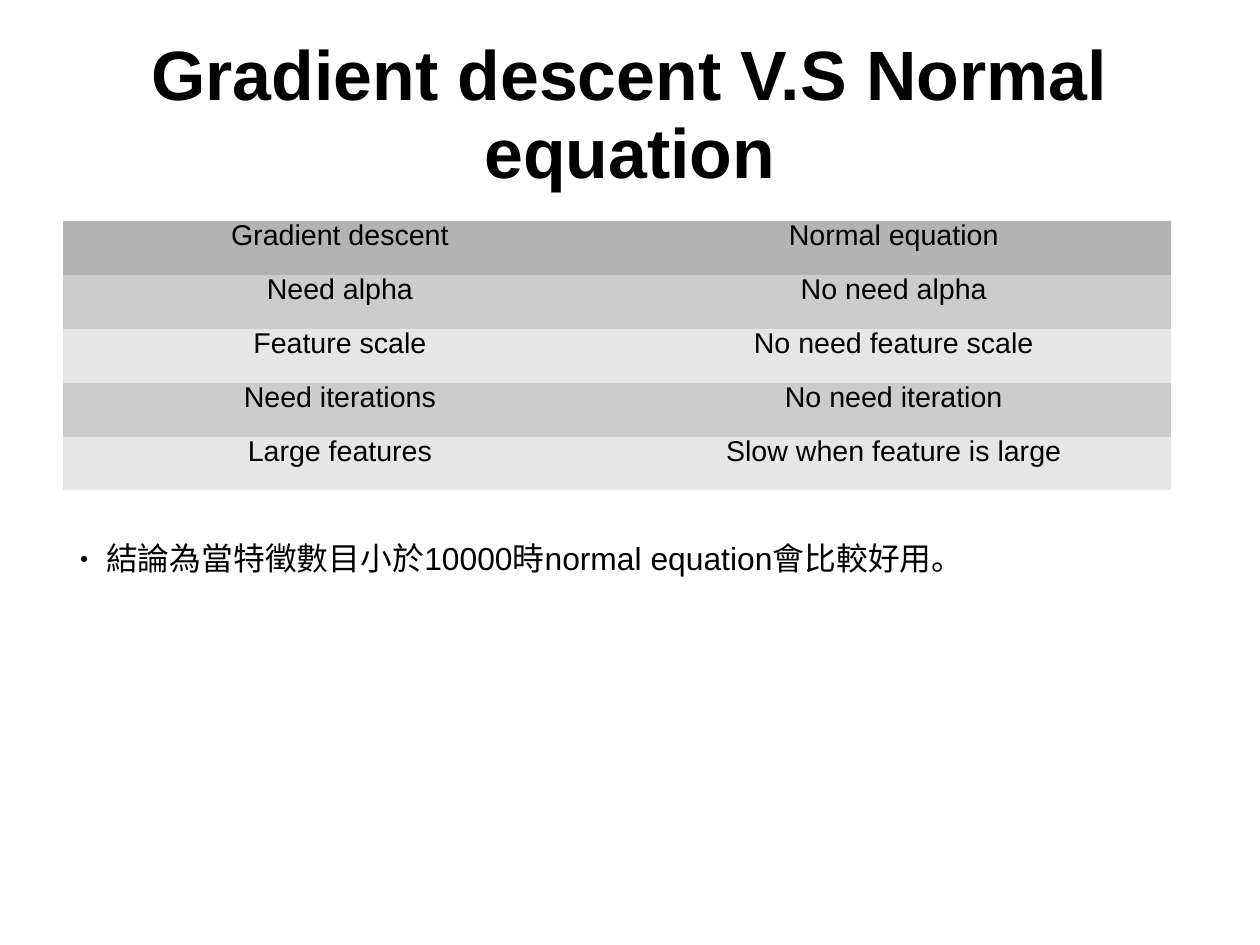
from dataclasses import dataclass
from lxml.etree import SubElement as Sub
from pptx import Presentation
from pptx.dml.color import RGBColor as Rgb
from pptx.enum.text import MSO_ANCHOR as Anchor, PP_ALIGN as Align
from pptx.oxml.ns import qn
from pptx.util import Cm, Inches, Pt


@dataclass(frozen=True)
class Theme:
    face: str = "Arial"
    ink: str = "000000"
    head: str = "B3B3B3"
    bands: tuple = ("CCCCCC", "E6E6E6")
    title: int = 44
    cell: int = 18
    note: int = 20


THEME = Theme()
WIDE, HIGH = Cm(28), Cm(21)
LEFT = 5
PLAIN = "{2D5ABB26-0587-4C30-8999-92F81FD0307C}"
ROWS = (
    ("Gradient descent", "Normal equation"),
    ("Need alpha", "No need alpha"),
    ("Feature scale", "No need feature scale"),
    ("Need iterations", "No need iteration"),
    ("Large features", "Slow when feature is large"),
)


def area(left, top, width, height):
    return [round(share * side / 100) for share, side in
            zip((left, top, width, height), (WIDE, HIGH, WIDE, HIGH))]


def style(para, size, lead, bold=False, align=Align.CENTER):
    para.alignment = align
    para.line_spacing = lead
    font = para.font
    font.name, font.size, font.bold = THEME.face, Pt(size), bold
    font.color.rgb = Rgb.from_string(THEME.ink)


def bullet(para, indent):
    props = para._p.get_or_add_pPr()
    props.set("marL", str(Inches(indent)))
    props.set("indent", str(-Inches(indent)))
    color = Sub(props, qn("a:buClr"))
    Sub(color, qn("a:srgbClr"), val=THEME.ink)
    Sub(props, qn("a:buSzPct"), val="45000")
    Sub(props, qn("a:buFont"), typeface=THEME.face)
    Sub(props, qn("a:buChar"), char="●")


def title(slide, text):
    frame = slide.shapes.add_textbox(*area(LEFT, 3.95, 90, 16.7)).text_frame
    frame.word_wrap = True
    frame.vertical_anchor = Anchor.MIDDLE
    frame.margin_left = frame.margin_right = 0
    frame.margin_top = frame.margin_bottom = 0
    frame.text = text
    style(frame.paragraphs[0], THEME.title, 0.93, True)


def table(slide, rows):
    box = area(LEFT, 23.35, 87.9, 5.71 * len(rows))
    grid = slide.shapes.add_table(len(rows), len(rows[0]), *box).table
    grid._tbl.tblPr.find(qn("a:tableStyleId")).text = PLAIN
    for r, row in enumerate(rows):
        shade = THEME.bands[(r - 1) % 2] if r else THEME.head
        for c, text in enumerate(row):
            cell = grid.cell(r, c)
            cell.text = text
            cell.fill.solid()
            cell.fill.fore_color.rgb = Rgb.from_string(shade)
            style(cell.text_frame.paragraphs[0], THEME.cell, 0.76)


def note(slide, text):
    box = area(5.45, 56.8, 73.2, 5)
    frame = slide.shapes.add_textbox(*box).text_frame
    frame.word_wrap = False
    frame.text = text
    para = frame.paragraphs[0]
    bullet(para, 0.23)
    style(para, THEME.note, 0.93, align=Align.LEFT)


def main():
    deck = Presentation()
    deck.slide_width, deck.slide_height = WIDE, HIGH
    slide = deck.slides.add_slide(deck.slide_layouts[6])
    title(slide, "Gradient descent V.S Normal equation")
    table(slide, ROWS)
    note(slide, "結論為當特徵數目小於10000時normal equation會比較好用。")
    deck.save("out.pptx")


if __name__ == "__main__":
    main()
